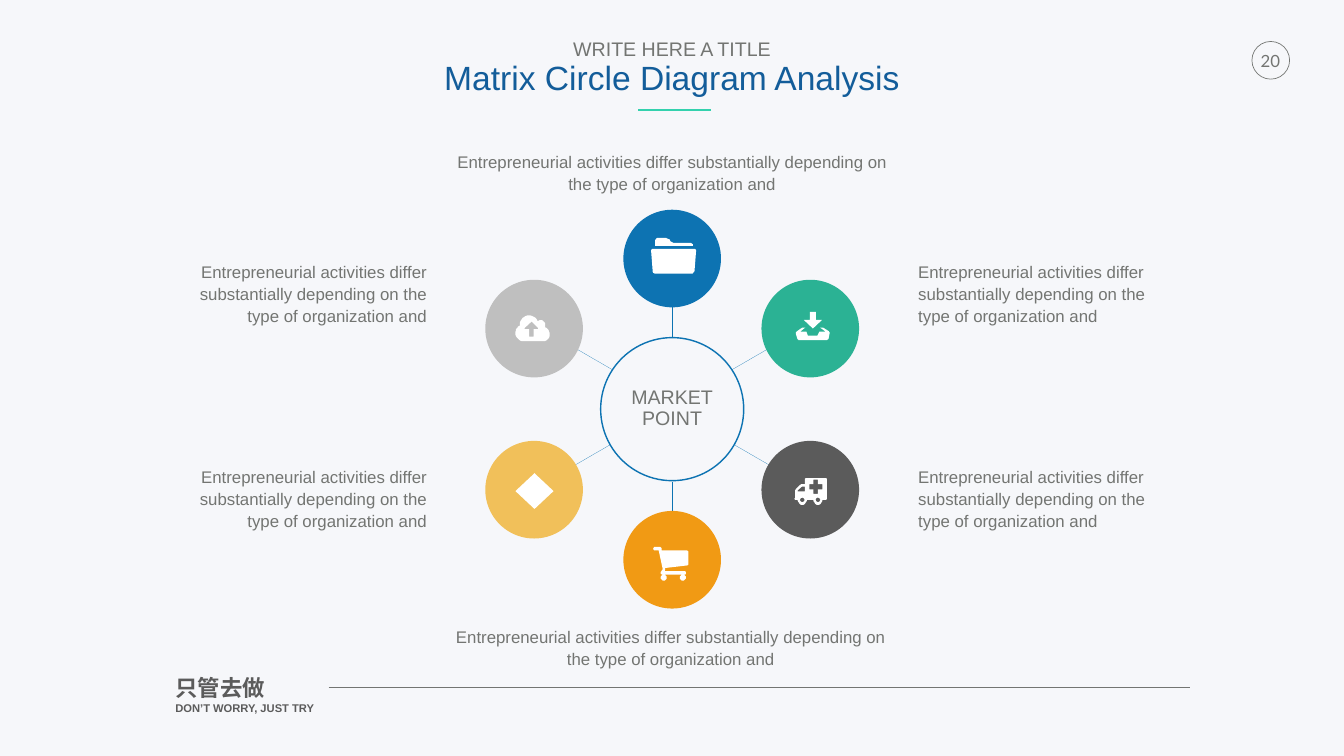
import math
from lxml import etree
from pptx import Presentation
from pptx.dml.color import RGBColor
from pptx.enum import shapes, text
from pptx.oxml import ns
from pptx.util import Cm, Pt

PAPER = RGBColor(0xF6, 0xF7, 0xFA)
WHITE = RGBColor(0xFF, 0xFF, 0xFF)
GREY = RGBColor(0x73, 0x75, 0x72)
DARK = RGBColor(0x5B, 0x5B, 0x5B)
NAVY = RGBColor(0x13, 0x5D, 0x9A)
MINT = RGBColor(0x33, 0xD1, 0xAD)
BLUE = RGBColor(0x0D, 0x73, 0xB2)
ORANGE = RGBColor(0xF1, 0x9A, 0x14)
SILVER = RGBColor(0xBF, 0xBF, 0xBF)
GOLD = RGBColor(0xF1, 0xC0, 0x5A)
GREEN = RGBColor(0x2B, 0xB2, 0x94)

LEFT, CENTER, RIGHT = text.PP_ALIGN.LEFT, text.PP_ALIGN.CENTER, text.PP_ALIGN.RIGHT
TOP, MIDDLE = text.MSO_ANCHOR.TOP, text.MSO_ANCHOR.MIDDLE
OVAL, DIAMOND = shapes.MSO_SHAPE.OVAL, shapes.MSO_SHAPE.DIAMOND


def ring(cx, cy, r):
    turns = [math.tau * i / 24 for i in range(24)]
    return [(cx + r * math.cos(t), cy + r * math.sin(t)) for t in turns]


# Icon outlines on a fine grid: pairs are corners, sixes are Bezier curves
FOLDER = [
    [(84, 22), (5, 22), (0, 22, 0, 24, 0, 27), (3, 66), (3, 68, 5, 71, 8, 71), (81, 71),
     (84, 71, 84, 68, 86, 66), (89, 27), (89, 24, 89, 22, 84, 22)],
    [(83, 13), (81, 11, 79, 10, 76, 10), (46, 10), (43, 10, 40, 8, 38, 7), (37, 3),
     (33, 2, 30, 0, 29, 0), (14, 0), (11, 0, 9, 2, 8, 5), (8, 16), (83, 16)]]
DOWNLOAD = [
    [(65, 38), (54, 31), (48, 31), (59, 39), (47, 39), (43, 47), (24, 47), (21, 39), (9, 39),
     (19, 31), (13, 31), (3, 38), (1, 39, 0, 40, 0, 43), (3, 53), (3, 54, 5, 56, 6, 56),
     (61, 56), (62, 56, 65, 54, 65, 53), (67, 43), (67, 40, 66, 39, 65, 38)],
    [(52, 16), (40, 16), (40, 0), (28, 0), (28, 16), (16, 16), (34, 33)]]
AMBULANCE = [
    [(65, 41), (63, 43), (56, 43), (56, 48, 52, 53, 47, 53), (42, 53, 38, 48, 38, 43), (25, 43),
     (25, 48, 21, 53, 16, 53), (11, 53, 7, 48, 7, 43), (2, 43), (0, 41), (2, 39), (2, 25),
     (2, 24, 3, 22, 4, 21), (11, 14), (12, 13, 14, 12, 15, 12), (21, 12), (21, 1), (23, 0),
     (63, 0), (65, 1)],
    [(21, 26), (21, 17), (15, 17), (7, 24), (7, 26)],
    [(56, 12), (47, 12), (47, 3), (38, 3), (38, 12), (30, 12),
     (30, 22), (38, 22), (38, 31), (47, 31), (47, 22), (56, 22)],
    ring(16, 43, 4.5), ring(47, 43, 4.5)]
CART = [
    [(70, 34), (70, 35, 69, 37, 67, 37), (24, 42), (24, 46), (23, 48), (62, 48),
     (64, 48, 65, 50, 65, 51), (65, 54, 64, 55, 62, 55), (19, 55), (18, 55, 15, 54, 15, 51),
     (15, 50, 18, 46, 19, 44), (11, 7), (2, 7), (0, 4), (2, 0), (13, 0), (17, 0, 17, 4, 17, 7),
     (67, 7), (70, 9)],
    ring(21, 61, 6), ring(59, 61, 6)]
CLOUD = [
    [(55, 51), (16, 51), (7, 51, 0, 44, 0, 35), (0, 28, 3, 22, 9, 20), (9, 18),
     (9, 8, 17, 0, 27, 0), (35, 0, 41, 4, 44, 11), (46, 10, 48, 9, 50, 9),
     (55, 9, 59, 13, 59, 18), (59, 20, 59, 22, 58, 23), (64, 25, 68, 31, 68, 37),
     (68, 45, 62, 51, 55, 51)],
    [(45, 25), (32, 12), (18, 25), (18, 27), (27, 27), (27, 42), (36, 42), (36, 27), (45, 27)]]

NOTE = "Entrepreneurial activities differ substantially depending on the type of organization and"
# Ring position (column, row), colour, icon, icon corner, note box, note alignment
NODES = [
    (0, -1, BLUE, FOLDER, (32.82, 11.99), (22.73, 7.57, 22.28, 2.16), CENTER),
    (1, -1, GREEN, DOWNLOAD, (40.11, 15.72), (46.28, 13.13, 12.57, 3.28), LEFT),
    (1, 1, DARK, AMBULANCE, (40.03, 24.1), (46.28, 23.44, 12.57, 3.28), LEFT),
    (0, 1, ORANGE, CART, (32.92, 27.56), (22.66, 31.52, 22.28, 2.16), CENTER),
    (-1, 1, GOLD, None, (25.98, 23.85), (8.94, 23.44, 12.57, 3.28), RIGHT),
    (-1, -1, SILVER, CLOUD, (25.98, 15.9), (8.94, 13.13, 12.57, 3.28), RIGHT)]
HUB_X, HUB_Y, HUB_SIZE, NODE_SIZE = 33.88, 20.62, 7.21, 4.92

prs = Presentation()
prs.slide_width, prs.slide_height = Cm(67.74), Cm(38.1)
s = prs.slides.add_slide(prs.slide_layouts[5])
s.background.fill.solid()
s.background.fill.fore_color.rgb = PAPER


def paint(sp, fill=None, line=None, width=1):
    sp.shadow.inherit = False
    if fill is None:
        sp.fill.background()
    else:
        sp.fill.solid()
        sp.fill.fore_color.rgb = fill
    if line is None:
        sp.line.fill.background()
    else:
        sp.line.color.rgb, sp.line.width = line, Pt(width)


def add_preset(kind, cx, cy, w, h, **style):
    sp = s.shapes.add_shape(kind, Cm(cx - w / 2), Cm(cy - h / 2), Cm(w), Cm(h))
    paint(sp, **style)


def add_line(x1, y1, x2, y2, color, width):
    c = s.shapes.add_connector(shapes.MSO_CONNECTOR.STRAIGHT, Cm(x1), Cm(y1), Cm(x2), Cm(y2))
    c.line.color.rgb, c.line.width = color, Pt(width)
    etree.SubElement(c._element.spPr, ns.qn("a:effectLst"))


def flatten(outline):
    points = []
    for step in outline:
        if len(step) == 2:
            points.append(step)
            continue
        (x0, y0), (x1, y1, x2, y2, x3, y3) = points[-1], step
        for t in (i / 8 for i in range(1, 9)):
            a, b, c, d = (1 - t) ** 3, 3 * t * (1 - t) ** 2, 3 * t * t * (1 - t), t ** 3
            points.append((a * x0 + b * x1 + c * x2 + d * x3, a * y0 + b * y1 + c * y2 + d * y3))
    return points


def add_icon(outlines, x, y):
    contours = [flatten(o) for o in outlines]
    fb = s.shapes.build_freeform(*contours[0][0], scale=Cm(0.0254))
    for i, points in enumerate(contours):
        if i:
            fb.move_to(*points[0])
        fb.add_line_segments(points[1:], close=True)
    paint(fb.convert_to_shape(Cm(x), Cm(y)), fill=WHITE)


def write(sp, box, lines, align=LEFT, anchor=TOP, inset=0.0, spacing=1.0, wrap=True):
    """Each line is (wording, size, colour, bold, font)."""
    sp.left, sp.top, sp.width, sp.height = (Cm(v) for v in box)
    tf = sp.text_frame
    tf.text = "\n".join(line[0] for line in lines)
    tf.word_wrap, tf.auto_size, tf.vertical_anchor = wrap, text.MSO_AUTO_SIZE.NONE, anchor
    tf.margin_left = tf.margin_right = tf.margin_top = tf.margin_bottom = Cm(inset)
    for p, (_, size, color, bold, font) in zip(tf.paragraphs, lines):
        p.alignment, p.line_spacing = align, spacing
        p.space_before = Pt(0)
        for r in p.runs:
            r.font.size, r.font.bold, r.font.name = Pt(size), bold, font
            r.font.color.rgb = color


def add_text(*args, **style):
    write(s.shapes.add_textbox(0, 0, 0, 0), *args, **style)


# Page badge and footer
add_preset(OVAL, 64.05, 3.04, 1.9, 1.9, line=GREY)
add_text((63.3, 2.29, 1.47, 1.52), [("20", 24, GREY, False, "Lato")],
         align=CENTER, inset=0.25, wrap=False)
add_text((8.71, 33.86, 10.13, 2.51),
         [("只管去做", 32, DARK, True, "Arial"), ("DON’T WORRY, JUST TRY", 16, DARK, True, "Arial")],
         inset=0.13)
add_line(16.56, 34.65, 59.99, 34.65, GREY, 0.25)

# Title with underline
write(s.shapes.title, (22.25, 1.88, 23.24, 3.38),
      [("WRITE HERE A TITLE", 28, GREY, False, "Arial"),
       ("Matrix Circle Diagram Analysis", 48, NAVY, False, "Arial")],
      align=CENTER, inset=0.13, spacing=0.9, wrap=False)
add_line(32.18, 5.54, 35.84, 5.54, MINT, 3)

# Spokes
for col, row, *_ in NODES:
    if col:
        y = HUB_Y - 0.13
        add_line(HUB_X + 4.9 * col, y + 2.95 * row, HUB_X + 3 * col, y + 1.85 * row, BLUE, 0.25)
    else:
        add_line(HUB_X, HUB_Y + 5.13 * row, HUB_X, HUB_Y + 3.65 * row, BLUE, 0.25)

# Outer circles, icons and notes
for col, row, color, icon, corner, box, align in NODES:
    rise = 4.06 if col else 7.59
    add_preset(OVAL, HUB_X + 6.96 * col, HUB_Y + rise * row, NODE_SIZE, NODE_SIZE, fill=color)
    if icon:
        add_icon(icon, *corner)
    else:
        add_preset(DIAMOND, corner[0] + 0.96, corner[1] + 0.9, 1.92, 1.8, fill=WHITE)
    add_text(box, [(NOTE, 24, GREY, False, "Arial")], align=align, anchor=MIDDLE, spacing=1.1)

# Hub
add_preset(OVAL, HUB_X, HUB_Y, HUB_SIZE, HUB_SIZE, fill=PAPER, line=BLUE, width=2)
add_text((31.32, 19.23, 5.11, 2.77),
         [(word, 28, GREY, False, "Arial") for word in ("MARKET", "POINT")],
         align=CENTER, anchor=MIDDLE, inset=0.25, spacing=0.89)

prs.save("out.pptx")
